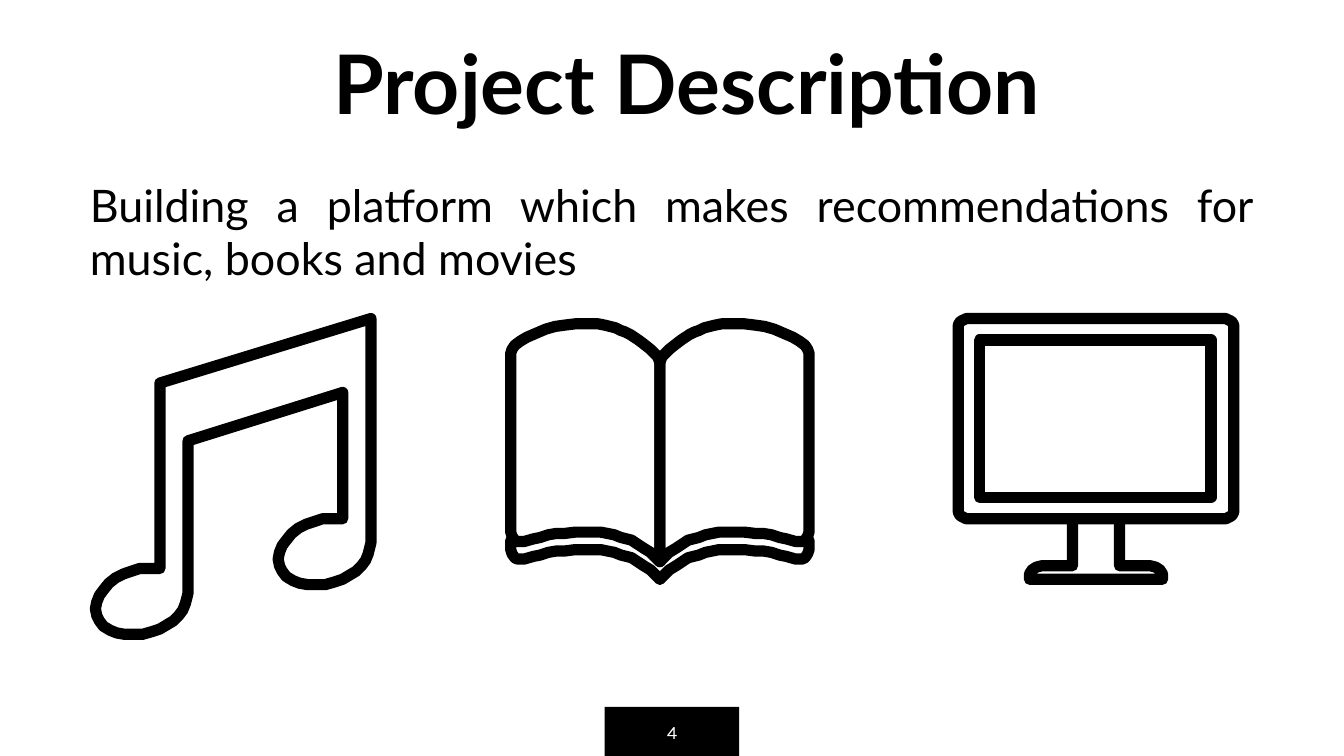
from lxml.etree import SubElement
from pptx import Presentation
from pptx.dml.color import RGBColor
from pptx.enum.shapes import MSO_SHAPE
from pptx.enum.text import MSO_ANCHOR, MSO_AUTO_SIZE, PP_ALIGN
from pptx.oxml.ns import qn
from pptx.util import Inches, Pt

COLORS = {"ink": "000000", "paper": "FFFFFF"}

# Slide in 16:9
presentation = Presentation()
presentation.slide_width = Inches(10)
presentation.slide_height = Inches(10) * 9 // 16
slide = presentation.slides.add_slide(presentation.slide_layouts[5])
slide.background.fill.solid()
slide.background.fill.fore_color.rgb = RGBColor.from_string(COLORS["paper"])


def write(shape, text, font, size, color, align, bold=False):
    paragraph = shape.text_frame.paragraphs[0]
    paragraph.text = text
    paragraph.alignment = align
    run_font = paragraph.runs[0].font
    run_font.name, run_font.size, run_font.bold = font, Pt(size), bold
    run_font.color.rgb = RGBColor.from_string(COLORS[color])


def draw_outline(*contours, close=True):
    """Stroke contours whose points are in hundredths of an inch."""
    builder = slide.shapes.build_freeform(*contours[0][0], scale=Inches(0.01))
    for index, contour in enumerate(contours):
        if index:
            builder.move_to(*contour[0])
        builder.add_line_segments(contour[1:], close=close)
    shape = builder.convert_to_shape()
    shape.shadow.inherit = False
    shape.fill.background()
    shape.line.color.rgb = RGBColor.from_string(COLORS["ink"])
    shape.line.width = Pt(6)
    line = shape.line._get_or_add_ln()
    line.set("cap", "rnd")
    SubElement(line, qn("a:round"))
    return shape


# Page number on its black tab
tab = slide.shapes.add_shape(MSO_SHAPE.RECTANGLE, Inches(4.5), Inches(5.26), Inches(1), Inches(0.37))
tab.shadow.inherit = False
tab.fill.solid()
tab.fill.fore_color.rgb = RGBColor.from_string(COLORS["ink"])
tab.line.fill.background()
tab.text_frame.vertical_anchor = MSO_ANCHOR.MIDDLE
write(tab, "4", "Karla", 10, "paper", PP_ALIGN.CENTER)

# Title
title = slide.shapes.title
title.left, title.top, title.width, title.height = Inches(2.38), Inches(-0.03), Inches(6.17), Inches(1.27)
title.text_frame.auto_size = MSO_AUTO_SIZE.NONE
title.text_frame.vertical_anchor = MSO_ANCHOR.MIDDLE
write(title, "Project Description", "Lato", 44, "ink", PP_ALIGN.LEFT, bold=True)

# Description
description = slide.shapes.add_textbox(Inches(0.57), Inches(1.27), Inches(8.85), Inches(0.91))
description.text_frame.word_wrap = True
description.text_frame.auto_size = MSO_AUTO_SIZE.SHAPE_TO_FIT_TEXT
write(description, "Building a platform which makes recommendations for music, books and movies",
      "Lato", 24, "ink", PP_ALIGN.JUSTIFY)

# Music icon: both notes share one head
note_head = [
    (119, 423), (114, 423), (109, 423), (104, 423), (98, 425), (92, 427), (86, 430), (81, 434),
    (77, 439), (74, 443), (72, 448), (71, 453), (72, 458), (74, 462), (77, 466), (82, 469),
    (87, 471), (93, 472), (99, 472), (106, 472), (113, 470), (119, 468), (124, 465), (129, 462),
    (133, 458), (136, 454), (138, 449), (139, 445), (140, 441),
]
second_head = [(x + 136, y - 37) for x, y in note_head]
draw_outline([(119, 285), *note_head, (140, 328), (255, 292), *second_head, (276, 237), (119, 285)])

# Book icon: the right half mirrors the left
page_edge = [
    (380, 402), (380, 409), (381, 412), (383, 415), (385, 416), (390, 416), (397, 414), (402, 413),
    (408, 411), (414, 410), (420, 410), (428, 409), (442, 409), (447, 409), (452, 410), (457, 411),
    (462, 413), (466, 414), (470, 415), (473, 417), (479, 421), (484, 424), (488, 428), (491, 431),
]
page = [
    (491, 270), (491, 418), (488, 415), (484, 411), (479, 408), (473, 404), (470, 402), (466, 401),
    (462, 400), (457, 398), (452, 397), (447, 396), (442, 396), (436, 396), (428, 396), (420, 397),
    (414, 397), (408, 398), (402, 400), (397, 401), (390, 403), (385, 403), (383, 402), (381, 399),
    (380, 396), (380, 263), (381, 260), (383, 257), (387, 254), (392, 251), (399, 248), (406, 245),
    (413, 243), (420, 242), (428, 241), (436, 241), (445, 241), (450, 242), (454, 243), (458, 244),
    (462, 246), (465, 247), (469, 249), (475, 253), (479, 256), (484, 260), (487, 263), (489, 265),
    (490, 267), (491, 270),
]
book = []
for points, close in ((page_edge, False), (page, True)):
    mirrored = [(982 - x, y) for x, y in points]
    book += [draw_outline(points, close=close), draw_outline(mirrored, close=close)]
slide.shapes.add_group_shape(book)

# Monitor icon: stand and frame are symmetric too
stand_half = [
    (798, 389), (798, 421), (775, 421), (771, 422), (768, 424), (766, 427), (766, 431),
]
frame_half = [
    (719, 237), (717, 238), (715, 239), (714, 240), (713, 242),
    (713, 381), (714, 383), (715, 384), (717, 385), (719, 386),
]
stand, frame = (half + [(1631 - x, y) for x, y in reversed(half)] for half in (stand_half, frame_half))
screen = [(901, 370), (729, 370), (729, 253), (901, 253)]
slide.shapes.add_group_shape([draw_outline(stand, close=False), draw_outline(frame, screen)])

presentation.save("out.pptx")
